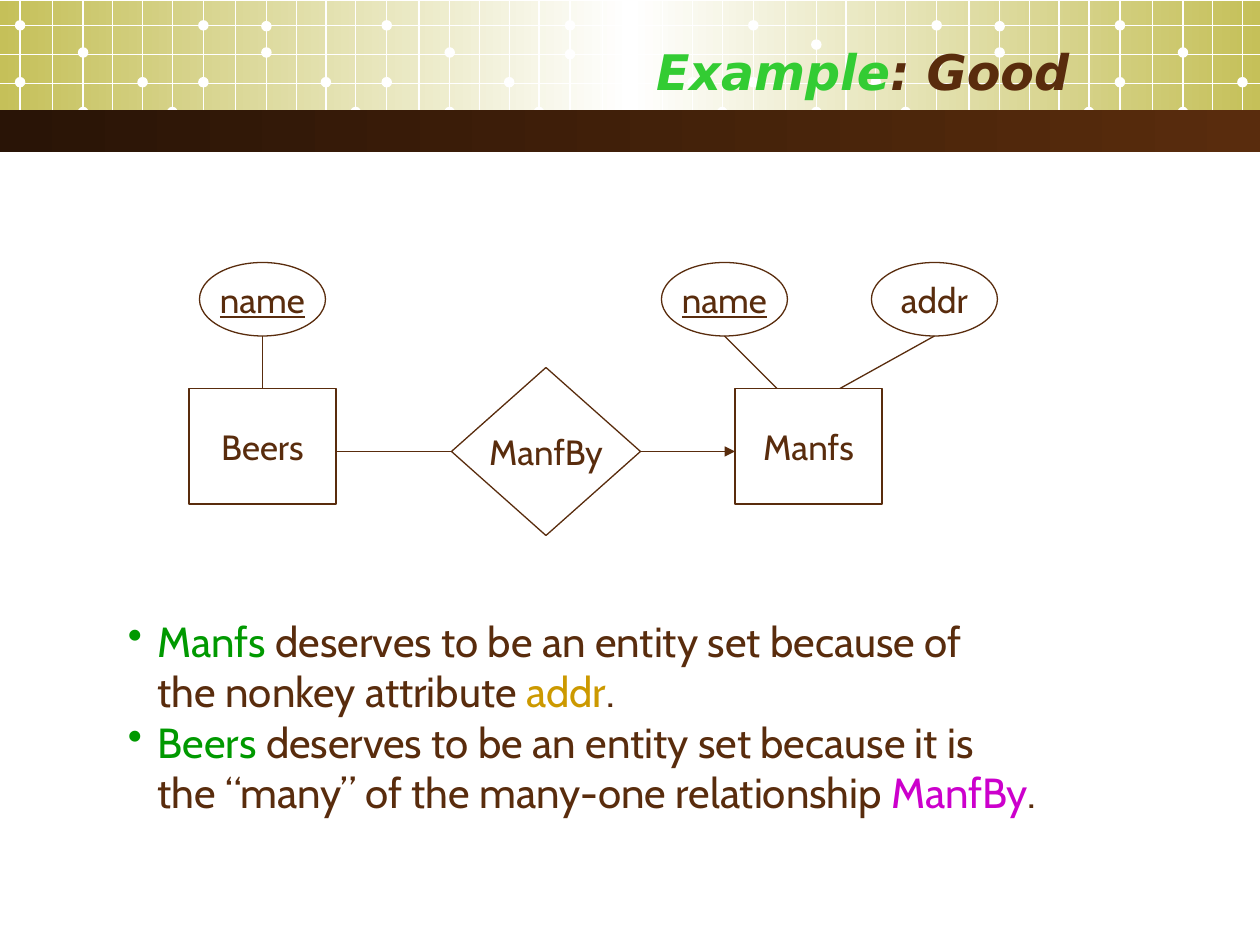
"""Build the "Example: Good" entity-relationship slide."""
from pptx import Presentation
from pptx.dml.color import RGBColor
from pptx.enum.shapes import MSO_CONNECTOR, MSO_SHAPE as SHAPE
from pptx.enum.text import MSO_ANCHOR as ANCHOR, PP_ALIGN as ALIGN
from pptx.oxml.ns import qn
from pptx.util import Pt
from lxml.etree import SubElement

WHITE = RGBColor(0xFF, 0xFF, 0xFF)
OLIVE = RGBColor(0xC5, 0xC0, 0x59)
BROWN = RGBColor(0x59, 0x2C, 0x0D)
DARK = RGBColor(0x29, 0x14, 0x06)
LIME = RGBColor(0x33, 0xCC, 0x33)
GREEN = RGBColor(0x00, 0x99, 0x00)
GOLD = RGBColor(0xCC, 0x99, 0x00)
PURPLE = RGBColor(0xCC, 0x00, 0xCC)


def add_text(p, text, size=20, font="Cabin", color=BROWN, **flags):
    for i, part in enumerate(text.split("\n")):
        if i:
            p.add_line_break()
        r = p.add_run()
        r.text = part
        r.font.size, r.font.name = Pt(size), font
        r.font.color.rgb = color
        for name, value in flags.items():
            setattr(r.font, name, value)


class Deck:
    def __init__(self, s, line_width=0.75):
        self.s = s
        self.line_width = Pt(line_width)

    def shape(self, kind, x, y, w, h):
        sp = self.s.shapes.add_shape(kind, Pt(x), Pt(y), Pt(w), Pt(h))
        sp.shadow.inherit = False
        return sp

    def band(self, y, h, colors):
        sp = self.shape(SHAPE.RECTANGLE, 0, y, 720, h)
        sp.line.fill.background()
        sp.fill.gradient()
        sp.fill.gradient_angle = 0
        stops = sp._element.spPr.find(qn("a:gradFill")).find(qn("a:gsLst"))
        for stop in list(stops):
            stops.remove(stop)
        for i, color in enumerate(colors):
            pos = 100000 * i // (len(colors) - 1)
            stop = SubElement(stops, qn("a:gs"), pos=str(pos))
            SubElement(stop, qn("a:srgbClr"), val=str(color))

    def dot(self, x, y, d=6):
        sp = self.shape(SHAPE.OVAL, x - d / 2, y, d, d)
        sp.fill.solid()
        sp.fill.fore_color.rgb = WHITE
        sp.line.fill.background()

    def line(self, x1, y1, x2, y2, color=BROWN, arrow=False):
        c = self.s.shapes.add_connector(
            MSO_CONNECTOR.STRAIGHT, Pt(x1), Pt(y1), Pt(x2), Pt(y2))
        c.line.width = self.line_width
        c.line.color.rgb = color
        if arrow:
            SubElement(c.line._get_or_add_ln(), qn("a:tailEnd"), type="triangle")
        SubElement(c._element.spPr, qn("a:effectLst"))

    def node(self, kind, x, y, w, h, text, **fmt):
        sp = self.shape(kind, x, y, w, h)
        sp.fill.background()
        sp.line.width = self.line_width
        sp.line.color.rgb = BROWN
        tf = sp.text_frame
        tf.word_wrap = False
        tf.vertical_anchor = ANCHOR.MIDDLE
        p = tf.paragraphs[0]
        p.alignment = ALIGN.CENTER
        add_text(p, text, **fmt)

    def text_box(self, x, y, w, h, anchor=ANCHOR.TOP):
        tf = self.s.shapes.add_textbox(Pt(x), Pt(y), Pt(w), Pt(h)).text_frame
        tf.word_wrap = True
        tf.vertical_anchor = anchor
        return tf

    def title(self, runs):
        p = self.text_box(36, 18, 582, 45, ANCHOR.MIDDLE).paragraphs[0]
        p.alignment = ALIGN.RIGHT
        for text, color in runs:
            add_text(p, text, size=28, font="DejaVu Sans", color=color,
                     bold=True, italic=True)

    def bullets(self, items):
        tf = self.text_box(66, 348, 541.5, 151)
        for i, runs in enumerate(items):
            p = tf.add_paragraph() if i else tf.paragraphs[0]
            pPr = p._p.get_or_add_pPr()
            pPr.set("marL", str(Pt(17)))
            pPr.set("indent", str(Pt(-17)))
            SubElement(SubElement(pPr, qn("a:buClr")), qn("a:srgbClr"), val=str(GREEN))
            SubElement(pPr, qn("a:buChar"), char="•")
            for text, color in runs:
                add_text(p, text, size=24, color=color)


def draw_header(deck):
    columns = (0, 18.5, 36, 53, 70, 87)
    low_high = ((44, 27, 61), (44, 27, 12), (44, 27, 61), (28, 27, 12),
                (44, 22.5, 61), (34, 27, 12), (44, 27, 61))
    deck.band(0.5, 73.5, (OLIVE, WHITE, OLIVE))
    for i, (first, third, extra) in enumerate(low_high):
        xs = [11.5 + 104.75 * i + dx for dx in columns]
        dots = ((0, 11.5), (0, first), (2, third), (2, extra), (4, 44), (5, 61))
        for x in xs:
            if x < 720:
                deck.line(x, 0, x, 79, WHITE)
        for column, y in dots:
            if xs[column] < 720:
                deck.dot(xs[column], y)
    for i in range(4):
        deck.line(0, 14.4 + 16.6 * i, 720, 14.4 + 16.6 * i, WHITE)
    deck.band(63, 24, (DARK, BROWN))


def draw_diagram(deck):
    for x, text in ((108, "Beers"), (420, "Manfs")):
        deck.node(SHAPE.RECTANGLE, x, 222, 84, 66, text)
    deck.node(SHAPE.DIAMOND, 258, 210, 108, 96, "ManfBy")
    for x, foot, text, key in ((114, 150, "name", True), (378, 444, "name", True),
                               (498, 480, "addr", False)):
        deck.node(SHAPE.OVAL, x, 150, 72, 42, text, underline=key)
        deck.line(x + 36, 192, foot, 222)
    deck.line(258, 258, 192, 258)
    deck.line(366, 258, 372, 258)
    deck.line(372, 258, 420, 258, arrow=True)


def main():
    prs = Presentation()
    prs.slide_width, prs.slide_height = Pt(720), Pt(540)
    deck = Deck(prs.slides.add_slide(prs.slide_layouts[6]))
    draw_header(deck)
    deck.title((("Example", LIME), (": Good", BROWN)))
    draw_diagram(deck)
    deck.bullets((
        (("Manfs", GREEN),
         (" deserves to be an entity set because of\nthe nonkey attribute ", BROWN),
         ("addr", GOLD), (".", BROWN)),
        (("Beers", GREEN),
         (" deserves to be an entity set because it is\n"
          "the “many” of the many-one relationship ", BROWN),
         ("ManfBy", PURPLE), (".", BROWN)),
    ))
    prs.save("out.pptx")


if __name__ == "__main__":
    main()
